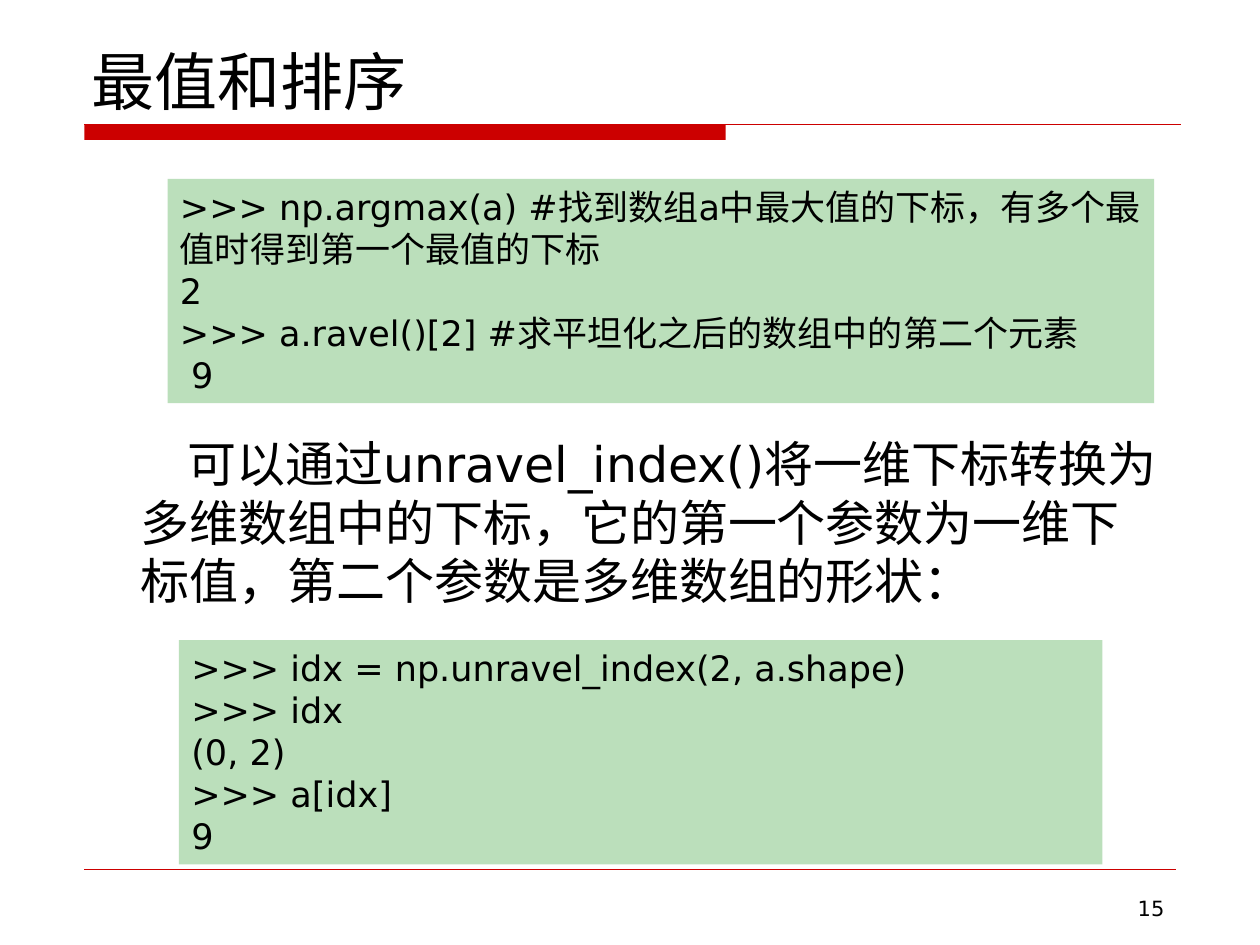
from lxml.etree import SubElement
from pptx import Presentation
from pptx.dml.color import RGBColor
from pptx.enum.shapes import MSO_CONNECTOR, MSO_SHAPE
from pptx.enum.text import MSO_ANCHOR, PP_ALIGN
from pptx.oxml.ns import qn
from pptx.util import Inches, Pt

FONT = "DejaVu Sans"
RED, GREEN, BLACK = "CC0000", "BBDFBB", "000000"

# Content
TITLE = "最值和排序"
BODY = ("可以通过unravel_index()将一维下标转换为多维数组中的下标，"
        "它的第一个参数为一维下标值，第二个参数是多维数组的形状：")
PAGE = "15"
CODE_BLOCKS = [
    ((1.33, 1.42, 7.83, 1.78), [
        ">>> np.argmax(a) #找到数组a中最大值的下标，有多个最值时得到第一个最值的下标",
        "2",
        ">>> a.ravel()[2] #求平坦化之后的数组中的第二个元素",
        " 9",
    ]),
    ((1.42, 5.08, 7.33, 1.78), [
        ">>> idx = np.unravel_index(2, a.shape)",
        ">>> idx",
        "(0, 2)",
        ">>> a[idx]",
        "9",
    ]),
]
# Start, end, height, width in points
RULES = [(0.67, 9.37, 0.99, 0.75), (0.67, 9.33, 6.9, 0.25)]


def rgb(value):
    return RGBColor.from_string(value)


def add_box(s, at, fill=None):
    box = [Inches(v) for v in at]
    if fill is None:
        return s.shapes.add_textbox(*box)
    sp = s.shapes.add_shape(MSO_SHAPE.RECTANGLE, *box)
    sp.shadow.inherit = False
    sp.fill.solid()
    sp.fill.fore_color.rgb = rgb(fill)
    sp.line.fill.background()
    return sp


def add_text(sp, lines, size, align=PP_ALIGN.LEFT, anchor=MSO_ANCHOR.TOP, indent=0):
    tf = sp.text_frame
    tf.word_wrap = True
    tf.vertical_anchor = anchor
    for i, line in enumerate(lines):
        p = tf.add_paragraph() if i else tf.paragraphs[0]
        p.alignment = align
        if indent:
            p._p.get_or_add_pPr().set("indent", str(Inches(indent)))
        r = p.add_run()
        r.text = line
        r.font.size = Pt(size)
        r.font.name = FONT
        r.font.color.rgb = rgb(BLACK)


def add_rule(s, x1, x2, y, width):
    line = s.shapes.add_connector(
        MSO_CONNECTOR.STRAIGHT, Inches(x1), Inches(y), Inches(x2), Inches(y))
    line.line.color.rgb = rgb(RED)
    line.line.width = Pt(width)
    SubElement(line._element.spPr, qn("a:effectLst"))


def main():
    prs = Presentation()
    prs.slide_width, prs.slide_height = Inches(10), Inches(7.5)
    s = prs.slides.add_slide(prs.slide_layouts[6])

    # Title bar and rules
    add_box(s, (0.67, 0.99, 5.09, 0.12), RED)
    for rule in RULES:
        add_rule(s, *rule)

    # Title, explanation and page number
    add_text(add_box(s, (0.63, 0.33, 8.75, 0.66)), [TITLE], 36, anchor=MSO_ANCHOR.BOTTOM)
    add_text(add_box(s, (1.02, 3.39, 8.35, 1.5)), [BODY], 28, indent=0.37)
    add_text(add_box(s, (7.17, 7.06, 2.17, 0.29)), [PAGE], 12, align=PP_ALIGN.RIGHT)

    # Code blocks
    for at, lines in CODE_BLOCKS:
        add_text(add_box(s, at, GREEN), lines, 20)

    prs.save("out.pptx")


if __name__ == "__main__":
    main()
